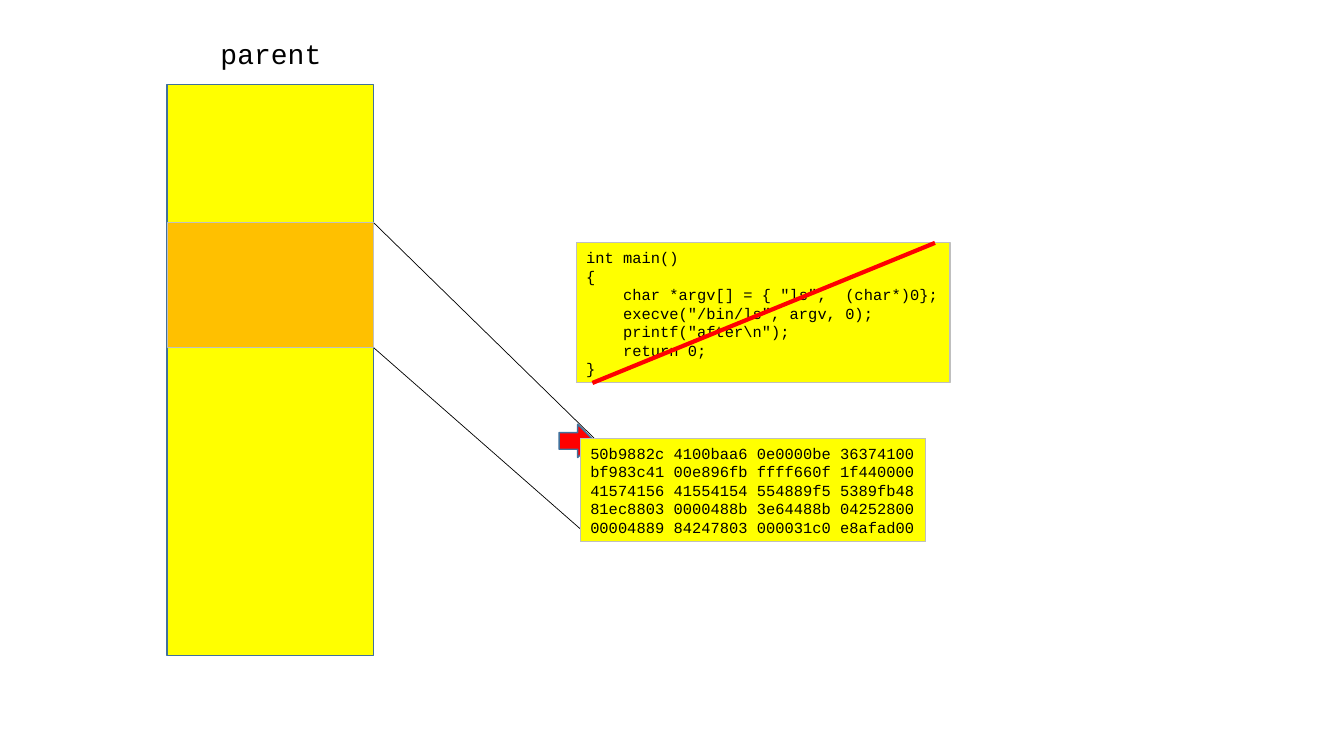
from pptx import Presentation, util as u
from pptx.dml.color import RGBColor
from pptx.enum import shapes, text
from pptx.oxml import parse_xml
from pptx.oxml.ns import nsdecls

THEME = dict(font="Courier New", ink="000000", memory="FFFF00", segment="FFC000",
             accent="FF0000", edge="41719C", soft="BFBFBF", label=20, code=11)
RECT = shapes.MSO_SHAPE.RECTANGLE
ARROW = shapes.MSO_SHAPE.RIGHT_ARROW

prs = Presentation()
prs.slide_width, prs.slide_height = u.Inches(13.34), u.Inches(7.5)
s = prs.slides.add_slide(prs.slide_layouts[6])


def place(x, y, w, h):
    W, H = prs.slide_width / 100, prs.slide_height / 100
    return int(x * W), int(y * H), int(w * W), int(h * H)


def write(sp, lines, size, align=text.PP_ALIGN.LEFT, anchor=text.MSO_ANCHOR.TOP):
    tf = sp.text_frame
    tf.word_wrap = False
    tf.auto_size = text.MSO_AUTO_SIZE.SHAPE_TO_FIT_TEXT
    tf.vertical_anchor = anchor
    for i, (level, line) in enumerate(lines):
        p = tf.paragraphs[0] if i == 0 else tf.add_paragraph()
        p.alignment = align
        p._p.get_or_add_pPr().set("marL", str(int(level * 4 * 0.6 * u.Pt(size))))
        r = p.add_run()
        r.text = line
        r.font.name, r.font.size = THEME["font"], u.Pt(size)
        r.font.color.rgb = RGBColor.from_string(THEME["ink"])


source = [(0, "int main()"), (0, "{"),
          (1, 'char *argv[] = { "ls",  (char*)0};'),
          (1, 'execve("/bin/ls", argv, 0);'),
          (1, 'printf("after\\n");'),
          (1, "return 0;"), (0, "}")]
dump = [(0, line) for line in (
    "50b9882c 4100baa6 0e0000be 36374100",
    "bf983c41 00e896fb ffff660f 1f440000",
    "41574156 41554154 554889f5 5389fb48",
    "81ec8803 0000488b 3e64488b 04252800",
    "00004889 84247803 000031c0 e8afad00")]

left, width, top, depth = 12.44, 15.37, 29.47, 16.53
right = left + width
dump_top, dump_depth, meet = 58, 13.6, 44.23
code_top, code_depth = 32.13, 18.53

items = [
    (RECT, (42.88, code_top, 27.81, code_depth), "memory", "soft", 0.75, source),
    (RECT, (left, 11.2, width, 75.47), "memory", "edge", 1, None),
    (RECT, (left, top, width, depth), "segment", "soft", 0.75, None),
    ((right, top, meet, dump_top), "ink", 0.5),
    ((right, top + depth, meet, dump_top + dump_depth), "ink", 0.5),
    (ARROW, (41.6, 56.13, 2.62, 4.4), "accent", "edge", 1, None),
    (RECT, (43.18, dump_top, 25.71, dump_depth), "memory", "soft", 0.75, dump),
    ((44.08, code_top + code_depth, 69.57, code_top), "accent", 3),
]
for item in items:
    if len(item) == 3:
        ends, color, weight = item
        sp = s.shapes.add_connector(shapes.MSO_CONNECTOR.STRAIGHT, *place(*ends))
        sp._element.spPr.append(parse_xml(f"<a:effectLst {nsdecls('a')}/>"))
    else:
        kind, box, fill, color, weight, lines = item
        sp = s.shapes.add_shape(kind, *place(*box))
        sp.shadow.inherit = False
        sp.fill.solid()
        sp.fill.fore_color.rgb = RGBColor.from_string(THEME[fill])
        if lines:
            write(sp, lines, THEME["code"], anchor=text.MSO_ANCHOR.MIDDLE)
    sp.line.color.rgb = RGBColor.from_string(THEME[color])
    sp.line.width = u.Pt(weight)

label = s.shapes.add_textbox(*place(15.67, 4.13, 9, 5.87))
write(label, [(0, "parent")], THEME["label"])

prs.save("out.pptx")
